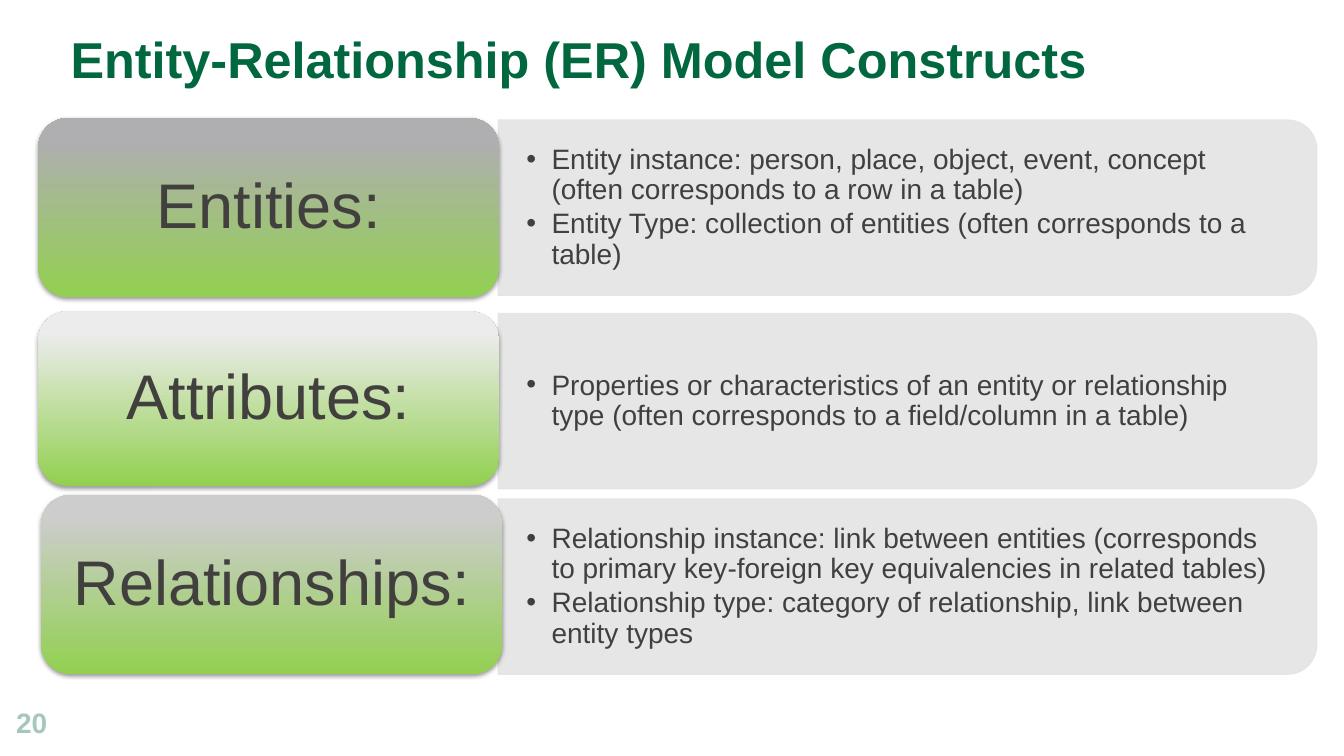
"""Build the slide on entity-relationship model constructs."""
from dataclasses import dataclass

from lxml.etree import SubElement
from pptx import Presentation
from pptx.dml.color import RGBColor
from pptx.enum.shapes import MSO_SHAPE
from pptx.enum.text import MSO_ANCHOR, MSO_AUTO_SIZE, PP_ALIGN
from pptx.oxml.ns import qn
from pptx.util import Inches, Pt


@dataclass(frozen=True)
class Theme:
    font: str = "Arial"
    title: str = "00673E"
    number: str = "A6C8BC"
    text: str = "423F3F"
    panel: str = "E5E4E5"
    accent: str = "92D050"
    shadow: str = "000000"
    title_size: int = 36
    label_size: int = 45
    body_size: int = 20


CONSTRUCTS = [
    ("Entities:", "AFAEB0", 2.06, (0.38, 1.17, 4.57, 1.78), [
        "Entity instance: person, place, object, event, concept "
        "(often corresponds to a row in a table)",
        "Entity Type: collection of entities (often corresponds to a table)"]),
    ("Attributes:", "ECECEC", 3.98, (0.38, 3.09, 4.57, 1.73), [
        "Properties or characteristics of an entity or relationship type "
        "(often corresponds to a field/column in a table)"]),
    ("Relationships:", "CDCDCD", 5.82, (0.41, 4.91, 4.57, 1.78), [
        "Relationship instance: link between entities (corresponds to "
        "primary key-foreign key equivalencies in related tables)",
        "Relationship type: category of relationship, link between entity types"]),
]


def write(shape, *texts, size, color, font, bold=False, align=PP_ALIGN.LEFT,
          anchor=MSO_ANCHOR.MIDDLE, margins=(0, 0), spacing=1.0, after=0, bullet=False):
    frame = shape.text_frame
    frame.word_wrap = True
    frame.auto_size = MSO_AUTO_SIZE.NONE
    frame.vertical_anchor = anchor
    frame.margin_left = frame.margin_right = Inches(margins[0])
    frame.margin_top = frame.margin_bottom = Inches(margins[1])
    for index, text in enumerate(texts):
        paragraph = frame.add_paragraph() if index else frame.paragraphs[0]
        paragraph.alignment = align
        paragraph.line_spacing = spacing
        paragraph.space_before = Pt(0)
        paragraph.space_after = Pt(after)
        if bullet:
            properties = paragraph._p.get_or_add_pPr()
            properties.set("marL", str(Inches(0.25)))
            properties.set("indent", str(-Inches(0.25)))
            SubElement(properties, qn("a:buFont"), typeface=font)
            SubElement(properties, qn("a:buChar"), char="•")
        run = paragraph.add_run()
        run.text = text
        run.font.name = font
        run.font.size = Pt(size)
        run.font.bold = bold
        run.font.color.rgb = RGBColor.from_string(color)


def place(shape, left, top, width, height):
    shape.left, shape.top = Inches(left), Inches(top)
    shape.width, shape.height = Inches(width), Inches(height)


class SlideBuilder:
    def __init__(self, slide, theme):
        self.slide = slide
        self.theme = theme
        self.bodies = list(slide.placeholders)[1:]

    def add_shape(self, kind, *box):
        shape = self.slide.shapes.add_shape(kind, *map(Inches, box))
        shape.shadow.inherit = False
        return shape

    def add_title(self, text):
        title = self.slide.shapes.title
        place(title, 0.6, 0.34, 11.88, 1.1)
        write(title, text, size=self.theme.title_size, color=self.theme.title,
              font=self.theme.font, bold=True, anchor=MSO_ANCHOR.TOP,
              margins=(0.1, 0.05), spacing=0.8)

    def add_number(self, text):
        box = self.slide.shapes.add_textbox(*map(Inches, (0.16, 6.97, 0.43, 0.4)))
        write(box, text, size=self.theme.body_size, color=self.theme.number,
              font=self.theme.font, bold=True, after=6)

    def add_panel(self, middle):
        width, height = 1.74, 8.12
        panel = self.add_shape(MSO_SHAPE.ROUND_2_SAME_RECTANGLE,
                               9 - width / 2, middle - height / 2, width, height)
        panel.rotation = 90
        panel.line.width = Pt(0.75)
        for fill in (panel.fill, panel.line.fill):
            fill.solid()
            fill.fore_color.rgb = RGBColor.from_string(self.theme.panel)
        for color in panel._element.spPr.iter(qn("a:srgbClr")):
            SubElement(color, qn("a:alpha"), val="90000")
        return panel

    def add_list(self, panel, middle, items):
        body = self.bodies.pop(0)
        height = 1.57
        place(body, 4.95, middle - height / 2, 8.03, height)
        write(body, *items, size=self.theme.body_size, color=self.theme.text,
              font=self.theme.font, margins=(0.27, 0.14), spacing=0.9, after=3, bullet=True)
        panel._element.addnext(body._element)

    def add_label(self, text, top_color, box):
        label = self.add_shape(MSO_SHAPE.ROUNDED_RECTANGLE, *box)
        label.line.fill.background()
        label.fill.gradient()
        label.fill.gradient_angle = 90
        stops = zip(label.fill.gradient_stops, (0, 0.88), (self.theme.accent, top_color))
        for stop, position, color in stops:
            stop.position = position
            stop.color.rgb = RGBColor.from_string(color)
        effects = label._element.spPr.find(qn("a:effectLst"))
        shadow = SubElement(effects, qn("a:outerShdw"), blurRad=str(Pt(3.1)),
                            dist=str(Pt(1.6)), dir="5400000", rotWithShape="0")
        color = SubElement(shadow, qn("a:srgbClr"), val=self.theme.shadow)
        SubElement(color, qn("a:alpha"), val="38000")
        write(label, text, size=self.theme.label_size, color=self.theme.text,
              font=self.theme.font, align=PP_ALIGN.CENTER, margins=(0.19, 0.09),
              spacing=0.9, after=15.75)

    def remove_unused(self):
        for body in self.bodies:
            body._element.getparent().remove(body._element)


def main():
    presentation = Presentation()
    presentation.slide_width, presentation.slide_height = Inches(13.33), Inches(7.5)
    comparison = presentation.slide_layouts.get_by_name("Comparison")
    builder = SlideBuilder(presentation.slides.add_slide(comparison), Theme())
    builder.add_title("Entity-Relationship (ER) Model Constructs")
    builder.add_number("20")
    for name, top_color, middle, box, items in CONSTRUCTS:
        panel = builder.add_panel(middle)
        builder.add_list(panel, middle, items)
        builder.add_label(name, top_color, box)
    builder.remove_unused()
    presentation.save("out.pptx")


if __name__ == "__main__":
    main()
